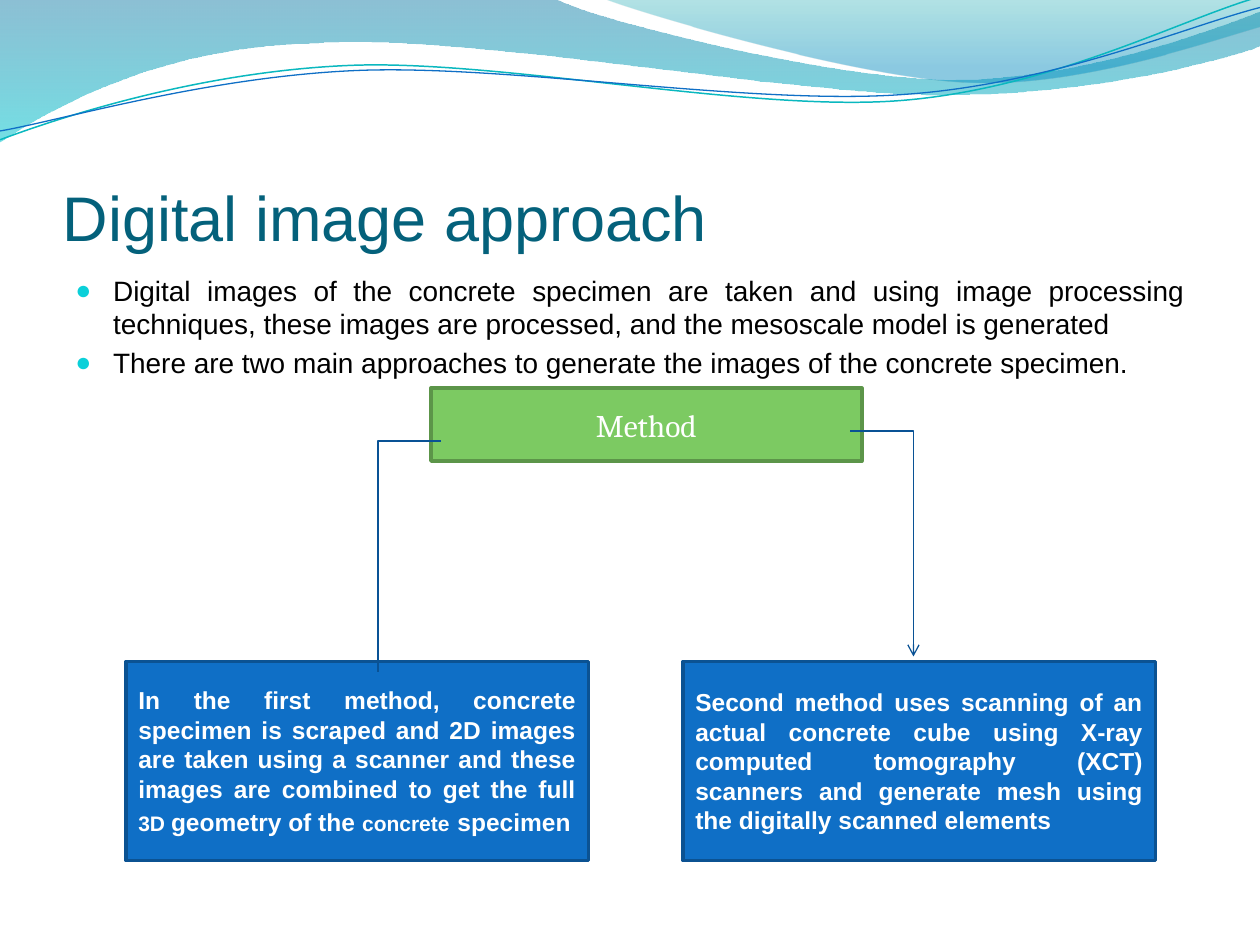
from dataclasses import dataclass
from math import cos, radians, sin

from lxml import etree
from pptx import Presentation
from pptx.dml.color import RGBColor
from pptx.enum.shapes import MSO_CONNECTOR as CXN, MSO_SHAPE as SHAPE
from pptx.enum.text import MSO_ANCHOR as ANCHOR, PP_ALIGN as ALIGN
from pptx.oxml import parse_xml
from pptx.oxml.ns import nsdecls, qn
from pptx.util import Inches, Pt


@dataclass(frozen=True)
class Theme:
    title: str = "04617B"
    text: str = "000000"
    white: str = "FFFFFF"
    bullet: str = "0BD0D9"
    green: str = "7CCA62"
    green_edge: str = "5C9549"
    blue: str = "0F6FC6"
    blue_edge: str = "0B5292"
    link: str = "095295"
    teal: str = "0AB8BF"
    sans: str = "Arial"
    serif: str = "Cambria"
    title_pt: int = 36
    method_pt: int = 18
    body_pt: int = 16
    box_pt: int = 14
    small_pt: int = 12


T = Theme()
TILT = -2.7  # degrees, for the two wave lines

# Wave outlines: a 2-value point is a line, a 6-value one a cubic curve
BAND = [(0, 0), (4.4, -0.01), (4.76, 0.17, 6.64, 0.63, 7.58, 0.63),
        (8.53, 0.63, 9.58, 0.26, 10, 0.09), (10.01, 0.36),
        (9.83, 0.44, 8.7, 0.76, 7.46, 0.75), (6.22, 0.75, 3.82, 0.28, 2.57, 0.34),
        (1.29, 0.36, 0.46, 0.83, -0.01, 1.13), (0, 0)]
CREST = [(4.79, -0.01), (5.09, 0.11, 6.82, 0.62, 7.69, 0.65),
         (8.56, 0.69, 9.61, 0.32, 10, 0.21), (10, 0), (4.79, -0.01)]
TEAL_LINE = [(0, 1.11), (0.48, 0.93, 1.58, 0.57, 2.77, 0.52),
             (3.95, 0.47, 5.93, 0.89, 7.13, 0.8), (8.33, 0.71, 9.38, 0.15, 9.98, -0.02)]
BLUE_LINE = [(0, 1.04), (0.47, 0.96, 1.64, 0.61, 2.83, 0.56),
             (4.03, 0.51, 5.97, 0.84, 7.17, 0.75), (8.36, 0.67, 9.41, 0.21, 10, 0.06)]


def rgb(value):
    return RGBColor.from_string(value)


def turn(x, y, degrees, cx=5, cy=0.58):
    a = radians(degrees)
    dx, dy = x - cx, y - cy
    return cx + dx * cos(a) - dy * sin(a), cy + dx * sin(a) + dy * cos(a)


def add_wave(s, outline, tilt=0, closed=False):
    """Freeform through the outline's end points, its curved parts made cubic."""
    segs = [[tuple(map(Inches, turn(x, y, -tilt))) for x, y in zip(seg[::2], seg[1::2])]
            for seg in outline]
    fb = s.shapes.build_freeform(*segs[0][0])
    fb.add_line_segments([seg[-1] for seg in segs[1:]], close=closed)
    sp = fb.convert_to_shape()
    sp.shadow.inherit = False
    lines = list(sp.element.iter(qn("a:lnTo")))
    for line, seg in zip(lines, segs[1:]):
        if len(seg) == 3:
            pts = "".join(f'<a:pt x="{x - sp.left}" y="{y - sp.top}"/>' for x, y in seg)
            curve = parse_xml(f'<a:cubicBezTo {nsdecls("a")}>{pts}</a:cubicBezTo>')
            line.getparent().replace(line, curve)
    sp.rotation = tilt
    return sp


def add_wave_fill(s, outline, stops):
    sp = add_wave(s, outline, closed=True)
    sp.line.fill.background()
    gs = "".join(f'<a:gs pos="{pos * 1000}"><a:srgbClr val="{color}">'
                 f'<a:alpha val="{alpha * 1000}"/></a:srgbClr></a:gs>'
                 for pos, color, alpha in stops)
    grad = parse_xml(f'<a:gradFill {nsdecls("a")} rotWithShape="1"><a:gsLst>{gs}</a:gsLst>'
                     '<a:lin ang="5400000" scaled="0"/></a:gradFill>')
    sp.element.spPr.find(qn("a:custGeom")).addnext(grad)


def add_wave_line(s, outline, color, width):
    sp = add_wave(s, outline, TILT)
    sp.fill.background()
    sp.line.color.rgb = rgb(color)
    sp.line.width = Pt(width)


def add_header(s):
    add_wave_fill(s, BAND, [(0, "0074A1", 45), (100, "00C6CF", 55)])
    add_wave_fill(s, CREST, [(0, "00A1A9", 30), (80, "008BBF", 45)])
    add_wave_line(s, TEAL_LINE, T.teal, 0.85)
    add_wave_line(s, BLUE_LINE, T.blue, 0.75)


def add_run(p, text, size, color, font=T.sans, bold=False):
    r = p.add_run()
    r.text = text
    r.font.size, r.font.name, r.font.bold = Pt(size), font, bold
    r.font.color.rgb = rgb(color)


def add_text_frame(s, box):
    tf = s.shapes.add_textbox(*map(Inches, box)).text_frame
    tf.word_wrap = True
    return tf


def add_title(s, box, text):
    tf = add_text_frame(s, box)
    tf.vertical_anchor = ANCHOR.BOTTOM
    tf.margin_left = tf.margin_right = tf.margin_bottom = 0
    p = tf.paragraphs[0]
    p.alignment = ALIGN.JUSTIFY
    add_run(p, text, T.title_pt, T.title)


def add_bullets(s, box, items):
    tf = add_text_frame(s, box)
    for i, text in enumerate(items):
        p = tf.add_paragraph() if i else tf.paragraphs[0]
        p.alignment = ALIGN.JUSTIFY
        p.space_before = Pt(3)
        add_run(p, text, T.body_pt, T.text)
        pPr = p._p.get_or_add_pPr()
        pPr.set("marL", str(Inches(0.3)))
        pPr.set("indent", str(Inches(-0.3)))
        color = etree.SubElement(pPr, qn("a:buClr"))
        etree.SubElement(color, qn("a:srgbClr"), val=T.bullet)
        etree.SubElement(pPr, qn("a:buSzPct"), val="95000")
        etree.SubElement(pPr, qn("a:buFont"), typeface=T.sans)
        etree.SubElement(pPr, qn("a:buChar"), char="●")


def add_box(s, box, fill, edge, align, runs, font=T.sans, bold=True):
    sp = s.shapes.add_shape(SHAPE.RECTANGLE, *map(Inches, box))
    sp.shadow.inherit = False
    sp.fill.solid()
    sp.fill.fore_color.rgb = rgb(fill)
    sp.line.color.rgb = rgb(edge)
    sp.line.width = Pt(2)
    tf = sp.text_frame
    tf.word_wrap = True
    tf.vertical_anchor = ANCHOR.MIDDLE
    p = tf.paragraphs[0]
    p.alignment = align
    for text, size in runs:
        add_run(p, text, size, T.white, font, bold)


def add_elbow(s, start, end, arrow=False):
    """One-bend connector: across first, then down."""
    cx = s.shapes.add_connector(CXN.ELBOW, *map(Inches, start + end))
    cx.line.color.rgb = rgb(T.link)
    cx.line.width = Pt(0.75)
    spPr = cx.element.spPr
    spPr.find(qn("a:prstGeom")).set("prst", "bentConnector2")
    if arrow:
        etree.SubElement(spPr.find(qn("a:ln")), qn("a:tailEnd"), type="arrow")
    etree.SubElement(spPr, qn("a:effectLst"))


def add_method_tree(s):
    add_box(s, (3.42, 3.08, 3.42, 0.58), T.green, T.green_edge, ALIGN.CENTER,
            [("Method", T.method_pt)], T.serif, False)
    add_box(s, (1, 5.25, 3.67, 1.58), T.blue, T.blue_edge, ALIGN.JUSTIFY, [
        ("In the first method, concrete specimen is scraped and 2D images are taken using "
         "a scanner and these images are combined to get the full ", T.box_pt),
        ("3D ", T.small_pt), ("geometry of the ", T.box_pt), ("concrete", T.small_pt),
        (" ", T.body_pt), ("specimen", T.box_pt)])
    add_box(s, (5.42, 5.25, 3.75, 1.58), T.blue, T.blue_edge, ALIGN.JUSTIFY, [
        ("Second method uses scanning of an actual concrete cube using X-ray computed "
         "tomography (XCT) scanners and generate mesh using the digitally scanned elements",
         T.box_pt)])
    add_elbow(s, (3.5, 3.5), (3, 5.33))
    add_elbow(s, (6.75, 3.42), (7.25, 5.21), arrow=True)


def main():
    prs = Presentation()
    prs.slide_width, prs.slide_height = Inches(10), Inches(7.5)
    s = prs.slides.add_slide(prs.slide_layouts[6])
    add_header(s)
    add_title(s, (0.5, 0.77, 9, 1.25), "Digital image approach")
    add_bullets(s, (0.5, 2.12, 9, 4.8), [
        "Digital images of the concrete specimen are taken and using image processing "
        "techniques, these images are processed, and the mesoscale model is generated",
        "There are two main approaches to generate the images of the concrete specimen."])
    add_method_tree(s)
    prs.save("out.pptx")


if __name__ == "__main__":
    main()
